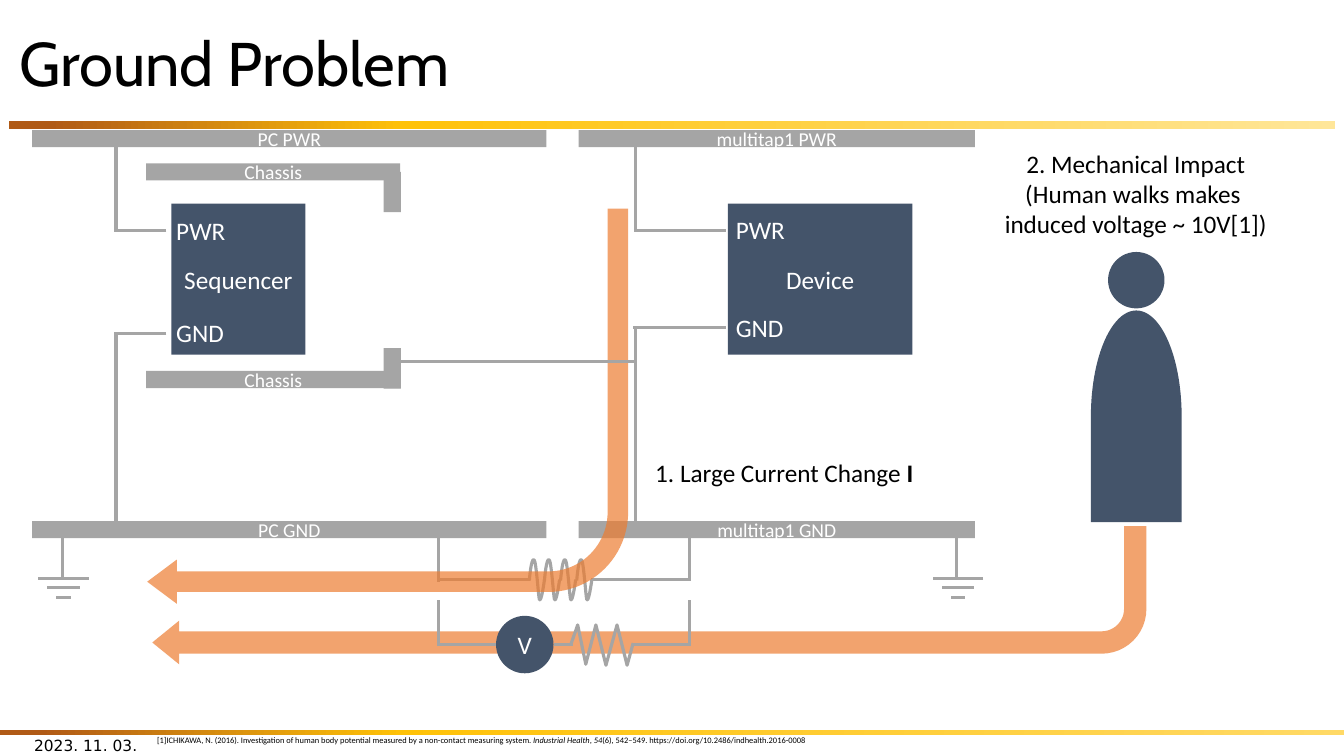
from copy import deepcopy

from lxml.etree import SubElement
from pptx import Presentation
from pptx.dml.color import RGBColor
from pptx.enum.shapes import MSO_CONNECTOR, MSO_SHAPE
from pptx.enum.text import MSO_ANCHOR, MSO_AUTO_SIZE, PP_ALIGN
from pptx.oxml.ns import qn
from pptx.util import Emu, Pt

PX = 9144  # one px is a hundredth of an inch
NAVY, GRAY, ORANGE = "44546A", "A5A5A5", "ED7D31"
WHITE, BLACK = "FFFFFF", "000000"
color = RGBColor.from_string
WIRE_WIDTH = Pt(2.25)

presentation = Presentation()
presentation.slide_width, presentation.slide_height = Emu(1333 * PX), Emu(750 * PX)
slide = presentation.slides.add_slide(presentation.slide_layouts[5])
shapes = slide.shapes


def add_block(kind, box, fill=None, lines=(), size=18, ink=WHITE, align=PP_ALIGN.CENTER,
              rotation=0, font="Calibri", wrap=True, anchor=MSO_ANCHOR.MIDDLE):
    """Add a filled shape, or a text box if kind is None; a line is a list of (text, format)."""
    lengths = [Emu(value * PX) for value in box]
    if kind is None:
        shape = shapes.add_textbox(*lengths)
    else:
        shape = shapes.add_shape(kind, *lengths)
        shape.shadow.inherit = False
        shape.line.fill.background()
        shape.fill.solid()
        shape.fill.fore_color.rgb = color(fill)
    shape.rotation = rotation
    frame = shape.text_frame
    frame.word_wrap, frame.vertical_anchor = wrap, anchor
    for index, line in enumerate(lines):
        paragraph = frame.add_paragraph() if index else frame.paragraphs[0]
        paragraph.alignment = align
        for text, extra in line:
            run = paragraph.add_run()
            run.text = text
            for name, value in {"name": font, "size": Pt(size), **extra}.items():
                setattr(run.font, name, value)
            run.font.color.rgb = color(ink)
    return shape


def add_wire(*ends):
    wire = shapes.add_connector(MSO_CONNECTOR.STRAIGHT, *[Emu(value * PX) for value in ends])
    wire.line.width = WIRE_WIDTH
    wire.line.color.rgb = color(GRAY)
    SubElement(wire._element.spPr, qn("a:effectLst"))


# Gradient rules above and below the content
for box, last in [((9, 120, 1315, 8), "FFE699"), ((0, 724, 1333, 5), "FFD966")]:
    rule = add_block(MSO_SHAPE.RECTANGLE, box, WHITE)
    rule.fill.gradient()
    rule.fill.gradient_angle = 0
    stop_list = rule._element.spPr.find(".//" + qn("a:gsLst"))
    stop_list.append(deepcopy(stop_list[-1]))
    stops = [(0.03, "B05A16"), (0.3, "FFC208"), (1, last)]
    for stop, (position, shade) in zip(rule.fill.gradient_stops, stops):
        stop.position = position
        stop.color.rgb = color(shade)

# Title, date and reference
title = shapes.title
title.left, title.top, title.width, title.height = [Emu(v * PX) for v in (9, 17, 1315, 98)]
title.text_frame.text = "Ground Problem"
title.text_frame.vertical_anchor = MSO_ANCHOR.MIDDLE
title.text_frame.auto_size = MSO_AUTO_SIZE.NONE
heading = title.text_frame.paragraphs[0]
heading.alignment, heading.line_spacing = PP_ALIGN.LEFT, 0.9
for name, value in {"name": "Cabin", "size": Pt(44)}.items():
    setattr(heading.runs[0].font, name, value)
heading.runs[0].font.color.rgb = color(BLACK)

add_block(None, (24, 719, 300, 40), lines=[[("2023. 11. 03.", {})]], size=11, ink=BLACK,
          align=PP_ALIGN.LEFT, font="DejaVu Sans")
reference = [
    ("[1]ICHIKAWA, N. (2016). Investigation of human body potential measured by a "
     "non-contact measuring system. ", {}),
    ("Industrial Health", {"italic": True}),
    (", ", {}),
    ("54", {"italic": True}),
    ("(6), 542–549. https://doi.org/10.2486/indhealth.2016-0008", {}),
]
add_block(None, (146, 724, 1072, 20), lines=[reference], size=6, ink=BLACK,
          align=PP_ALIGN.LEFT, anchor=MSO_ANCHOR.TOP)

# Sequencer and device with their pin labels
for name, box, pin_left, power_top, ground_top in [
    ("Sequencer", (170, 202, 133, 150), 165, 209, 310),
    ("Device", (722, 202, 183, 150), 720, 208, 305),
]:
    add_block(MSO_SHAPE.RECTANGLE, box, NAVY, [[(name, {})]])
    for pin, top in [("PWR", power_top), ("GND", ground_top)]:
        add_block(None, (pin_left, top, 84, 40), lines=[[(pin, {})]],
                  align=PP_ALIGN.LEFT, anchor=MSO_ANCHOR.TOP)

# Power and ground rails
for source, left, width in [("PC", 32, 510), ("multitap1", 574, 393)]:
    for rail, top in [("PWR", 129), ("GND", 517)]:
        add_block(MSO_SHAPE.RECTANGLE, (left, top, width, 17), GRAY,
                  [[(f"{source} {rail}", {})]], size=14)

# Chassis plates with their upright lips
for plate_top, lip_top in [(162, 182), (368, 357)]:
    add_block(MSO_SHAPE.RECTANGLE, (145, plate_top, 252, 17), GRAY, [[("Chassis", {})]], size=14)
    add_block(MSO_SHAPE.RECTANGLE, (369, lip_top, 40, 17), GRAY, rotation=90)

# Human figure
add_block(MSO_SHAPE.OVAL, (1099, 250, 56, 56), NAVY)
add_block(MSO_SHAPE.FLOWCHART_DELAY, (1022, 368, 210, 90), NAVY, rotation=270)

# Current arrows, with the wiring between them in depth
arrows = [
    ((151, 522, 986, 137), (0.162, 0.158, 0.194, 0.324)),
    ((146, 207, 477, 392), (0.052, 0.056, 0.075, 0.202)),
]
for index, (box, adjustments) in enumerate(arrows):
    arrow = add_block(MSO_SHAPE.BENT_ARROW, box, ORANGE, rotation=180)
    for position, value in enumerate(adjustments):
        arrow.adjustments[position] = value
    solid_color = arrow._element.spPr.find(qn("a:solidFill"))[0]
    SubElement(solid_color, qn("a:alpha")).set("val", "70000")
    if index:
        continue

    # Wires from the pins to the rails and around both resistors
    for ends in [
        (165, 229, 115, 229), (115, 230, 115, 142), (165, 331, 113, 331), (115, 525, 115, 329),
        (720, 229, 630, 229), (630, 230, 630, 142), (720, 325, 628, 325), (630, 525, 630, 325),
        (526, 575, 435, 575), (435, 577, 435, 531), (685, 575, 586, 575), (684, 575, 684, 531),
        (492, 639, 435, 639), (435, 641, 435, 595), (568, 639, 549, 639), (684, 639, 684, 595),
        (685, 639, 627, 639),
    ]:
        add_wire(*ends)

    # Earth symbols
    for center in (63, 950):
        add_wire(center - 1, 575, center - 1, 525)
        for half, y in [(25, 574), (16, 583), (7, 593)]:
            add_wire(center + half, y, center - half, y)

    # Coil turns follow three Bezier curves each; the second resistor is a zigzag
    curves = [
        [(0, 576), (1, 564), (3, 552), (5, 556)],
        [(5, 556), (7, 559), (9, 592), (10, 595)],
        [(10, 595), (12, 598), (15, 575), (15, 575)],
    ]
    turn = [
        tuple((1 - t) ** 3 * a + 3 * (1 - t) ** 2 * t * b + 3 * (1 - t) * t ** 2 * c + t ** 3 * d
              for a, b, c, d in zip(*curve))
        for curve in curves for t in [step / 8 for step in range(9)]
    ]
    outlines = [[(x + left, y) for x, y in turn] for left in (525, 540, 556, 572)]
    outlines.append([(566, 640), (573, 620), (581, 659), (591, 620), (601, 660),
                     (612, 620), (622, 660), (628, 638)])
    for outline in outlines:
        points = [(x * PX, y * PX) for x, y in outline]
        builder = shapes.build_freeform(*points[0])
        builder.add_line_segments(points[1:], close=False)
        resistor = builder.convert_to_shape()
        resistor.shadow.inherit = False
        resistor.fill.background()
        resistor.line.width = WIRE_WIDTH
        resistor.line.color.rgb = color(GRAY)

# Chassis link and voltmeter
add_wire(630, 359, 398, 359)
add_block(MSO_SHAPE.OVAL, (492, 611, 57, 57), NAVY, [[("V", {})]])

# Numbered causes
add_block(None, (640, 449, 279, 40), ink=BLACK, align=PP_ALIGN.LEFT, wrap=False,
          anchor=MSO_ANCHOR.TOP,
          lines=[[("1. Large Current Change ", {}), ("I", {"bold": True})]])
impact = ["2. Mechanical Impact", "(Human walks makes ", "induced voltage ~ 10V[1])"]
add_block(None, (985, 142, 283, 101), ink=BLACK, wrap=False, anchor=MSO_ANCHOR.TOP,
          lines=[[(line, {})] for line in impact])

presentation.save("out.pptx")
